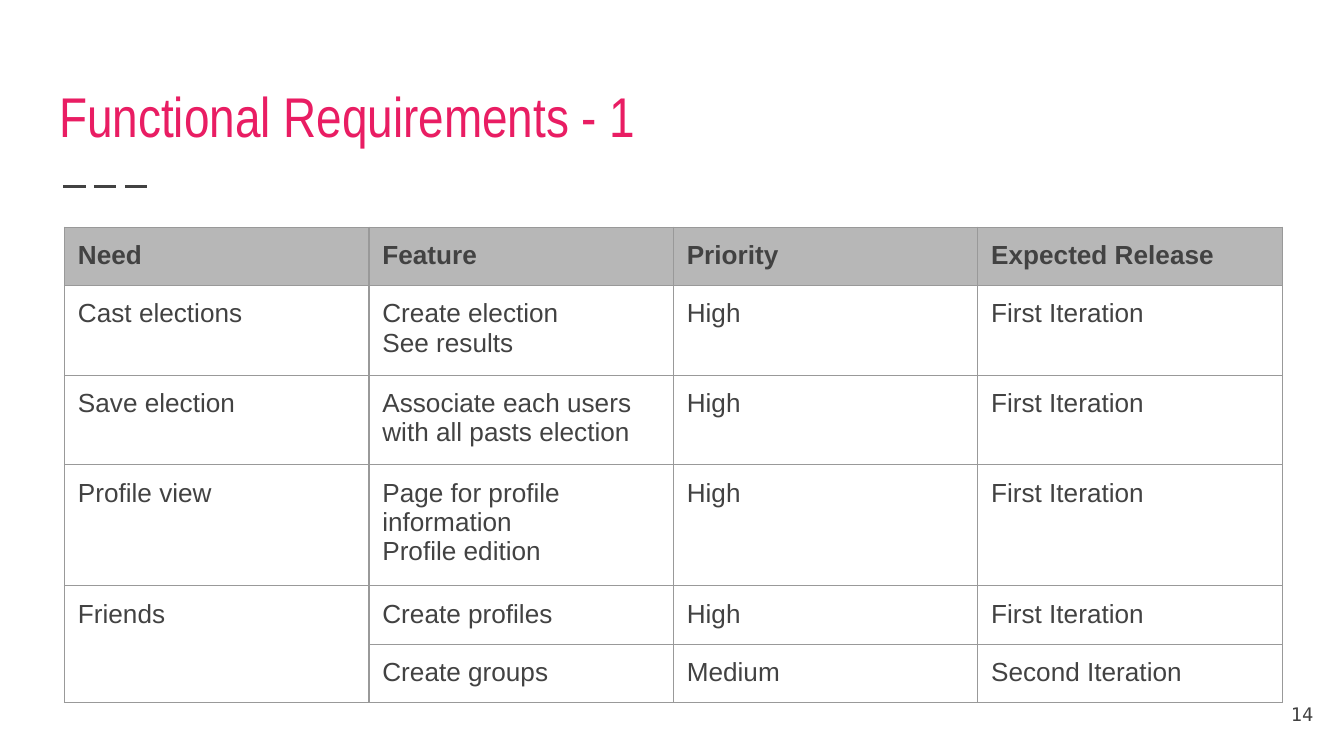
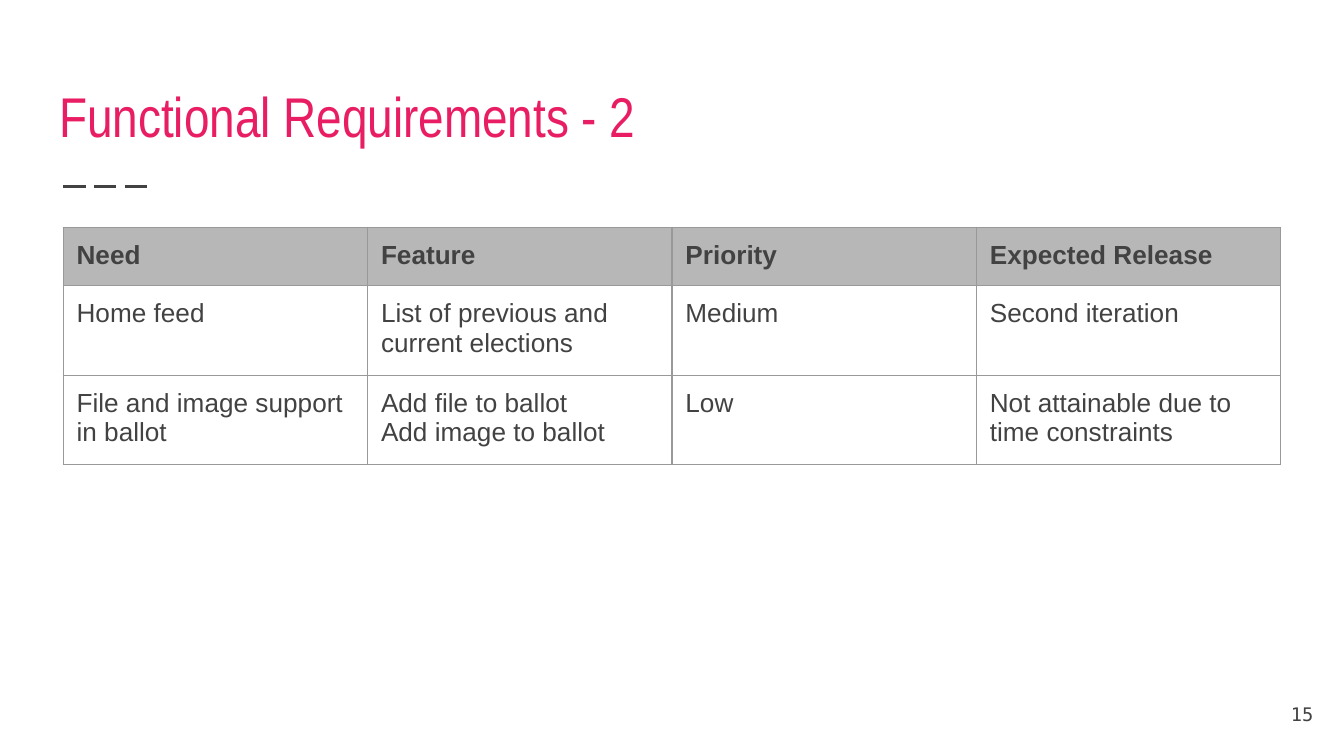
"""Build two functional requirements slides, each with a title and a table."""
from dataclasses import dataclass

from lxml.etree import SubElement
from pptx import Presentation
from pptx.dml.color import RGBColor
from pptx.enum.dml import MSO_LINE
from pptx.enum.shapes import MSO_CONNECTOR as CONN
from pptx.enum.text import MSO_ANCHOR as ANCHOR, MSO_AUTO_SIZE as FIT, PP_ALIGN as ALIGN
from pptx.oxml import parse_xml
from pptx.oxml.ns import nsdecls, qn
from pptx.util import Inches, Pt

PINK, INK, HEADER_FILL, RULE = "E91D63", "424242", "B7B7B7", "999999"
HEADINGS = ("Need", "Feature", "Priority", "Expected Release")
TABLE_WIDTH, TABLE_TOP, ONE_LINE, TWO_LINES, MARGIN = 9.06, 1.69, 0.35, 0.54, 0.1


@dataclass
class Row:
    texts: tuple[str, ...]
    height: float = ONE_LINE


@dataclass
class Page:
    title: str
    number: int
    left: float
    height: float
    rows: list[Row]
    merges: tuple[tuple[int, int, int], ...] = ()


PAGES = [
    Page("Functional Requirements - 1", 14, 0.48, 3.39, [
        Row(("Cast elections", "Create election\vSee results", "High", "First Iteration"), TWO_LINES),
        Row(("Save election", "Associate each users with all pasts election", "High",
             "First Iteration"), TWO_LINES),
        Row(("Profile view", "Page for profile information\nProfile edition", "High",
             "First Iteration")),
        Row(("Friends", "Create profiles", "High", "First Iteration")),
        Row(("", "Create groups", "Medium", "Second Iteration")),
    ], merges=((0, 4, 5),)),
    Page("Functional Requirements - 2", 15, 0.47, 1.69, [
        Row(("Home feed", "List of previous and current elections", "Medium",
             "Second iteration"), TWO_LINES),
        Row(("File and image support in ballot", "Add file to ballot\nAdd image to ballot", "Low",
             "Not attainable due to time constraints"), TWO_LINES),
    ]),
]


def rgb(color: str) -> RGBColor:
    return RGBColor.from_string(color)


def set_margins(frame) -> None:
    frame.margin_left = frame.margin_right = Inches(MARGIN)
    frame.margin_top = frame.margin_bottom = Inches(MARGIN)


def style_text(tf, font: str, size: float, color: str, bold: bool = False, align=ALIGN.LEFT) -> None:
    for p in tf.paragraphs:
        p.alignment = align
        p.font.name, p.font.size, p.font.bold = font, Pt(size), bold
        p.font.color.rgb = rgb(color)


def add_title(s, text: str) -> None:
    sp = s.shapes.title
    sp.left, sp.top, sp.width, sp.height = map(Inches, (0.34, 0.41, 9.32, 0.8))
    tf = sp.text_frame
    tf.text = text
    tf.auto_size, tf.word_wrap, tf.vertical_anchor = FIT.NONE, True, ANCHOR.BOTTOM
    set_margins(tf)
    style_text(tf, "Arial Narrow", 30, PINK)


def add_dashes(s) -> None:
    line = s.shapes.add_connector(CONN.STRAIGHT, *map(Inches, (0.47, 1.39, 1.14, 1.39)))
    line.line.color.rgb = rgb(INK)
    line.line.width = Pt(1.5)
    line.line.dash_style = MSO_LINE.LONG_DASH
    SubElement(line._element.spPr, qn("a:effectLst"))


def add_number(s, number: int) -> None:
    tf = s.shapes.add_textbox(*map(Inches, (9.27, 5.1, 0.6, 0.43))).text_frame
    tf.text = str(number)
    tf.word_wrap, tf.vertical_anchor = True, ANCHOR.MIDDLE
    set_margins(tf)
    style_text(tf, "DejaVu Sans Mono", 10, INK, align=ALIGN.RIGHT)


def set_borders(cell) -> None:
    tc_pr = cell._tc.get_or_add_tcPr()
    for i, side in enumerate(("lnL", "lnR", "lnT", "lnB")):
        tc_pr.insert(i, parse_xml(
            f'<a:{side} {nsdecls("a")} w="{Pt(0.75)}"><a:solidFill>'
            f'<a:srgbClr val="{RULE}"/></a:solidFill></a:{side}>'))


def fill_cell(cell, text: str, header: bool) -> None:
    cell.text = text
    set_margins(cell)
    style_text(cell.text_frame, "Arial", 14, INK, bold=header)
    if header:
        cell.fill.solid()
        cell.fill.fore_color.rgb = rgb(HEADER_FILL)
    else:
        cell.fill.background()
    set_borders(cell)


def add_requirements(s, page: Page) -> None:
    rows = [Row(HEADINGS), *page.rows]
    frame = s.shapes.add_table(len(rows), len(HEADINGS), Inches(page.left), Inches(TABLE_TOP),
                               Inches(TABLE_WIDTH), Inches(page.height))
    table = frame.table
    table.first_row = table.horz_banding = False
    for i, row in enumerate(rows):
        table.rows[i].height = Inches(row.height)
        for j, text in enumerate(row.texts):
            fill_cell(table.cell(i, j), text, header=i == 0)
    for col, first, last in page.merges:
        table.cell(first, col).merge(table.cell(last, col))
    frame.height = Inches(page.height)


prs = Presentation()
prs.slide_width, prs.slide_height = Inches(10), Inches(10 * 9 / 16)
for page in PAGES:
    s = prs.slides.add_slide(prs.slide_layouts[5])
    add_dashes(s)
    add_title(s, page.title)
    add_number(s, page.number)
    add_requirements(s, page)
prs.save("out.pptx")
